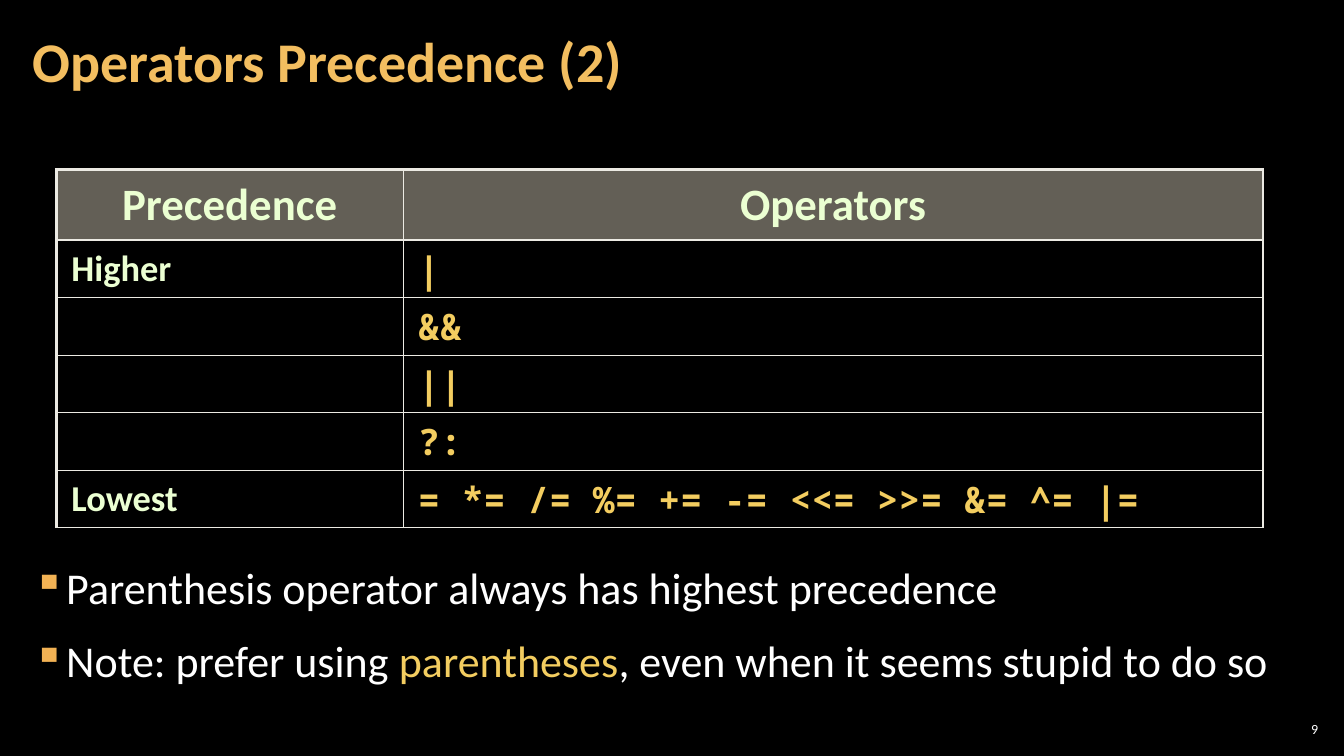
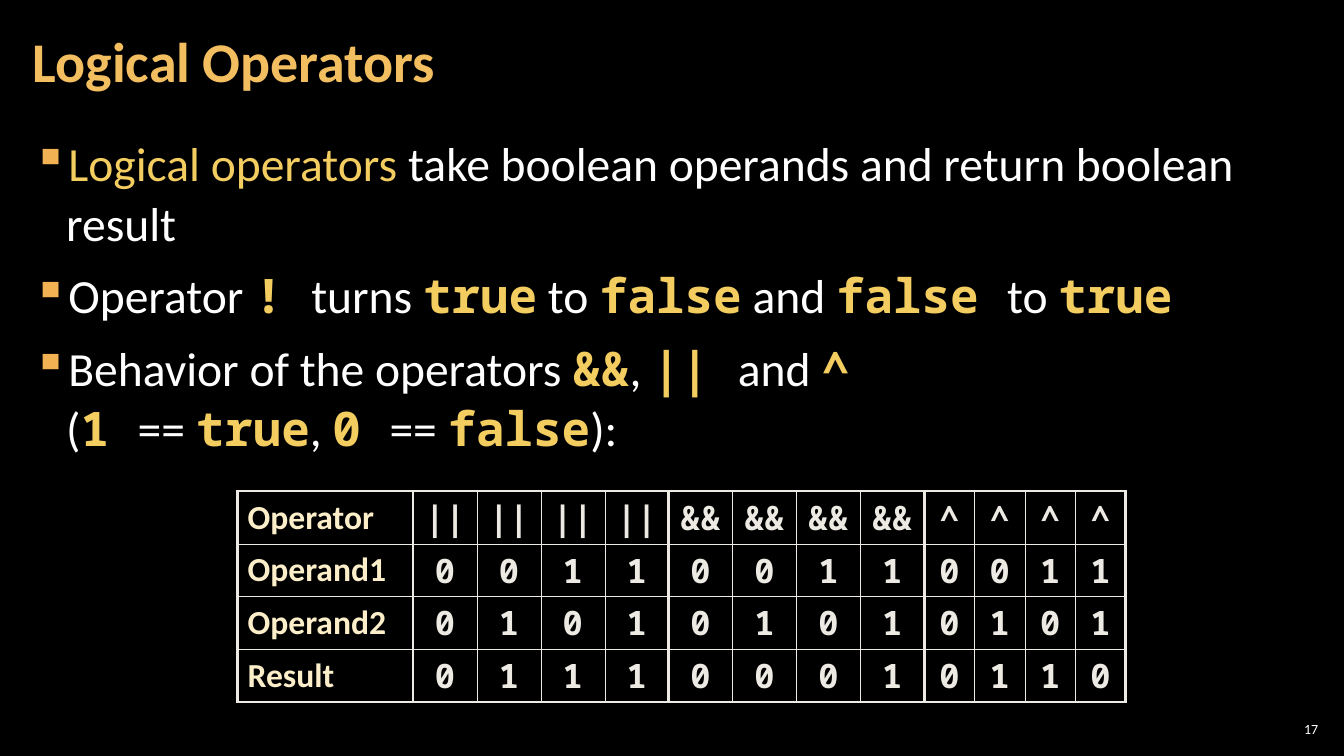
from dataclasses import dataclass
from typing import Any, NamedTuple

from lxml import etree
from pptx import Presentation
from pptx import util as u
from pptx.dml.color import RGBColor
from pptx.enum import text
from pptx.oxml import ns

BLACK, WHITE = "000000", "FFFFFF"
ORANGE, BULLET, YELLOW = "F3BE60", "F2B254", "F3CD60"
IVORY, CREAM, MINT, HEADER = "ECEAE3", "FBEEC9", "EBFFD2", "C7BFAC"
SANS, MONO = "Calibri", "Noto Sans Mono"
LEFT, CENTER, RIGHT = text.PP_ALIGN.LEFT, text.PP_ALIGN.CENTER, text.PP_ALIGN.RIGHT
TOP, MIDDLE = text.MSO_ANCHOR.TOP, text.MSO_ANCHOR.MIDDLE
THICK = 2.25


class Box(NamedTuple):
    left: float
    top: float
    width: float
    height: float


class Style(NamedTuple):
    color: str
    font: str = SANS
    bold: bool = False


class CellLook(NamedTuple):
    style: Style
    size: float
    margins: tuple[float, float]
    align: Any = LEFT
    anchor: Any = MIDDLE
    fill: str | None = None


class Bullet(NamedTuple):
    """A bullet; the parts between backticks take the marked style."""
    text: str
    marked: Style


@dataclass
class Grid:
    left: float
    top: float
    columns: list[float]
    row_heights: list[float]
    rows: list[list[str]]
    looks: list[list[CellLook]]
    thin: float
    thick_columns: set[int]
    thick_rows: set[int]


PLAIN = Style(WHITE)
ACCENT = Style(YELLOW)
CODE = Style(YELLOW, MONO, True)
TITLE = Style(ORANGE, SANS, True)
TITLE_BOX = Box(0.53, 0.1, 26.59, 3.07)
NUMBER_BOX = Box(32.13, 18.14, 1.19, 0.53)
WIDE, SMALL = (0.3, 0.1), (0.1, 0.1)


def rgb(color: str) -> RGBColor:
    return RGBColor.from_string(color)


def set_all(obj: Any, values: dict[str, Any]) -> None:
    for name, value in values.items():
        setattr(obj, name, value)


def sub(parent: Any, tag: str, **attrs: str) -> Any:
    return etree.SubElement(parent, ns.qn(tag), attrs)


def margins(sides: float, ends: float) -> dict[str, Any]:
    return {
        "margin_left": u.Cm(sides), "margin_right": u.Cm(sides),
        "margin_top": u.Cm(ends), "margin_bottom": u.Cm(ends),
    }


def add_run(p: Any, content: str, style: Style, size: float) -> None:
    r = p.add_run()
    r.text = content
    set_all(r.font, {"name": style.font, "size": u.Pt(size), "bold": style.bold})
    r.font.color.rgb = rgb(style.color)


def add_text_frame(s: Any, box: Box, inset: tuple[float, float], anchor: Any) -> Any:
    tf = s.shapes.add_textbox(*map(u.Cm, box)).text_frame
    set_all(tf, {"word_wrap": True, "vertical_anchor": anchor, **margins(*inset)})
    return tf


def add_line(s: Any, box: Box, content: str, style: Style, size: float,
             inset: tuple[float, float], align: Any = LEFT) -> None:
    p = add_text_frame(s, box, inset, MIDDLE).paragraphs[0]
    set_all(p, {"alignment": align, "line_spacing": 0.9})
    add_run(p, content, style, size)


def add_bullets(s: Any, box: Box, bullets: list[Bullet], size: float, before: float) -> None:
    tf = add_text_frame(s, box, WIDE, TOP)
    for i, bullet in enumerate(bullets):
        p = tf.add_paragraph() if i else tf.paragraphs[0]
        set_all(p, {"line_spacing": 1.05, "space_before": u.Pt(before), "space_after": u.Pt(6)})
        pPr = p._p.get_or_add_pPr()
        pPr.set("marL", str(u.Cm(0.84)))
        pPr.set("indent", str(-u.Cm(0.84)))
        sub(sub(pPr, "a:buClr"), "a:srgbClr", val=BULLET)
        sub(pPr, "a:buChar", char="▪")
        for j, part in enumerate(bullet.text.split("`")):
            for k, line in enumerate(part.split("\n")):
                if k:
                    p.add_line_break()
                if line:
                    add_run(p, line, bullet.marked if j % 2 else PLAIN, size)


def set_borders(cell: Any, widths: dict[str, float]) -> None:
    tcPr = cell._tc.get_or_add_tcPr()
    for i, (side, width) in enumerate(widths.items()):
        ln = etree.Element(ns.qn(f"a:ln{side}"), {"w": str(u.Pt(width))})
        sub(sub(ln, "a:solidFill"), "a:srgbClr", val=IVORY)
        tcPr.insert(i, ln)


def fill_cell(cell: Any, content: str, look: CellLook) -> None:
    set_all(cell, {"vertical_anchor": look.anchor, **margins(*look.margins)})
    if look.fill:
        cell.fill.solid()
        cell.fill.fore_color.rgb = rgb(look.fill)
        color = cell._tc.tcPr.find(f".//{ns.qn('a:srgbClr')}")
        sub(color, "a:alpha", val="50000")
    else:
        cell.fill.background()
    if content:
        p = cell.text_frame.paragraphs[0]
        set_all(p, {"alignment": look.align, "line_spacing": 0.95})
        add_run(p, content, look.style, look.size)


def add_grid(s: Any, grid: Grid) -> None:
    size = (sum(grid.columns), sum(grid.row_heights))
    frame = s.shapes.add_table(len(grid.rows), len(grid.columns),
                               *map(u.Cm, (grid.left, grid.top, *size)))
    table = frame.table
    set_all(table, {"first_row": False, "horz_banding": False})
    for column, width in zip(table.columns, grid.columns):
        column.width = u.Cm(width)
    for row, height in zip(table.rows, grid.row_heights):
        row.height = u.Cm(height)

    def edge(index: int, thick: set[int]) -> float:
        return THICK if index in thick else grid.thin

    for i, (row, looks) in enumerate(zip(grid.rows, grid.looks)):
        for j, (content, look) in enumerate(zip(row, looks)):
            cell = table.cell(i, j)
            fill_cell(cell, content, look)
            set_borders(cell, {
                "L": edge(j, grid.thick_columns), "R": edge(j + 1, grid.thick_columns),
                "T": edge(i, grid.thick_rows), "B": edge(i + 1, grid.thick_rows),
            })


def precedence_grid() -> Grid:
    head = CellLook(Style(MINT, SANS, True), 32, (0.38, 0.13), CENTER, fill=HEADER)
    level = head._replace(size=26, align=LEFT, fill=None)
    operators = level._replace(style=CODE, anchor=TOP)
    rows = [
        ["Precedence", "Operators"],
        ["Higher", "|"],
        ["", "&&"],
        ["", "||"],
        ["", "?:"],
        ["Lowest", "= *= /= %= += -= <<= >>= &= ^= |="],
    ]
    body = len(rows) - 1
    return Grid(1.42, 4.27, [8.74, 21.67], [1.78] + [1.45] * body, rows,
                [[head, head]] + [[level, operators]] * body,
                thin=1, thick_columns={0, 2}, thick_rows={0, 1})


def truth_grid() -> Grid:
    label = CellLook(Style(CREAM, SANS, True), 24, (0.25, 0.13))
    value = CellLook(Style(IVORY, MONO, True), 24, SMALL, CENTER)
    rows = [
        ["Operator"] + ["||"] * 4 + ["&&"] * 4 + ["^"] * 4,
        ["Operand1", *"0011" * 3],
        ["Operand2", *"0101" * 3],
        ["Result", *"0111", *"0001", *"0110"],
    ]
    return Grid(5.99, 12.37, [4.42] + [1.61] * 8 + [1.27] * 4, [1.33] * 4, rows,
                [[label] + [value] * 12] * 4,
                thin=0.25, thick_columns={0, 1, 5, 9, 13}, thick_rows={0, 4})


def add_slide(prs: Any, number: int, title: str, body: Box, bullets: list[Bullet],
              size: float, before: float, grid: Grid) -> None:
    s = prs.slides.add_slide(prs.slide_layouts[6])
    add_line(s, NUMBER_BOX, str(number), PLAIN, 10, SMALL, RIGHT)
    add_bullets(s, body, bullets, size, before)
    add_line(s, TITLE_BOX, title, TITLE, 40, WIDE)
    add_grid(s, grid)


def main() -> None:
    prs = Presentation()
    set_all(prs, {"slide_width": u.Cm(33.87), "slide_height": u.Cm(19.05)})
    background = prs.slide_master.background.fill
    background.solid()
    background.fore_color.rgb = rgb(BLACK)

    add_slide(prs, 9, "Operators Precedence (2)", Box(0.53, 13.97, 32.79, 4.7), [
        Bullet("Parenthesis operator always has highest precedence", ACCENT),
        Bullet("Note: prefer using `parentheses`, even when it seems stupid to do so", ACCENT),
    ], 31.4, 6, precedence_grid())

    add_slide(prs, 17, "Logical Operators", Box(0.53, 3.2, 32.79, 15.47), [
        Bullet("`Logical operators `take boolean operands and return boolean result", ACCENT),
        Bullet("Operator `! `turns `true` to `false` and `false `to `true`", CODE),
        Bullet("Behavior of the operators `&&`, `|| `and `^ \n`(`1 `== `true`, `0 `== `false`):",
               CODE),
    ], 34, 3, truth_grid())
    prs.save("out.pptx")


if __name__ == "__main__":
    main()
